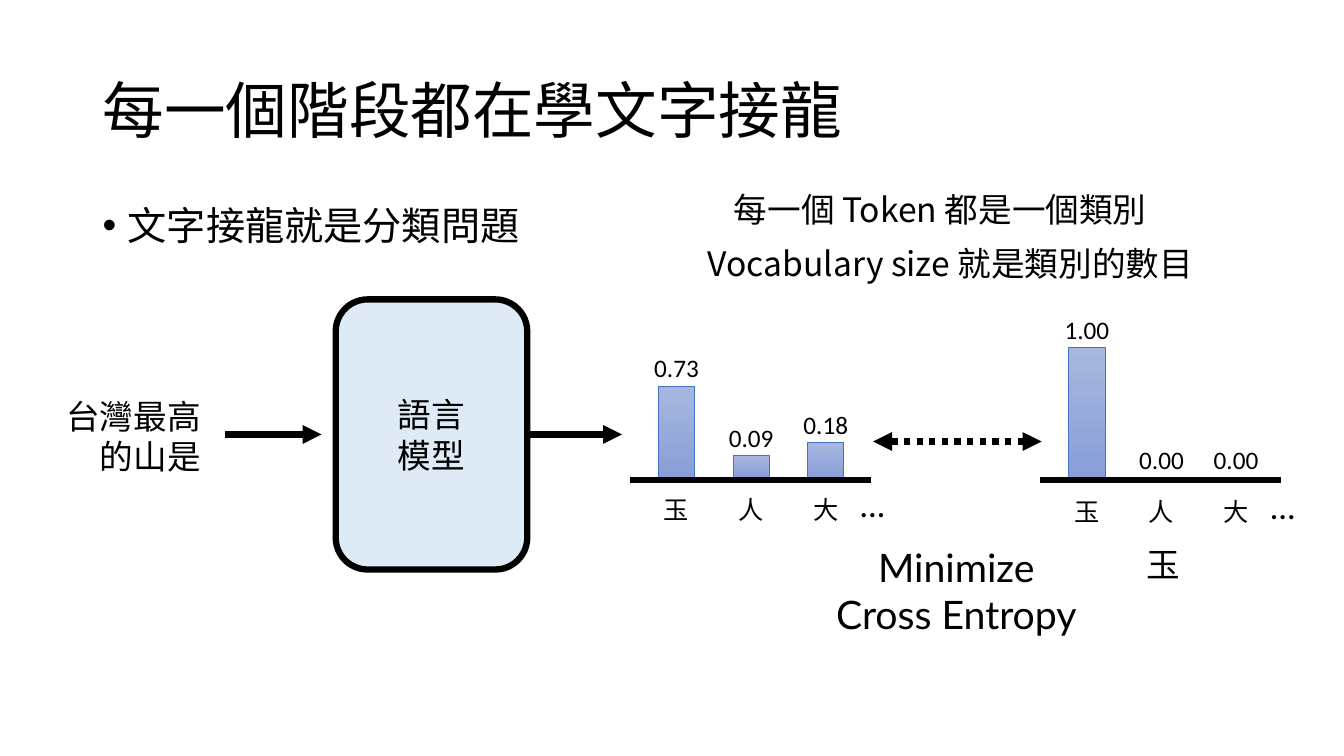
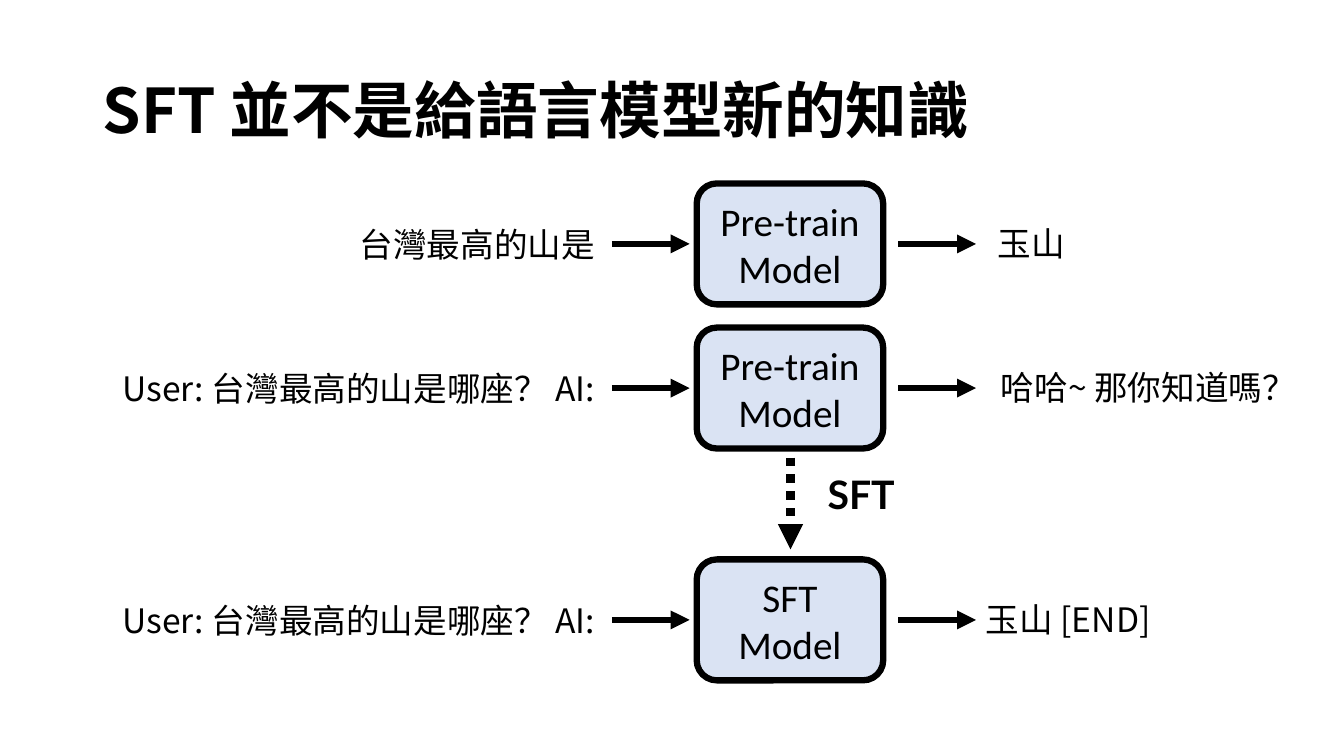
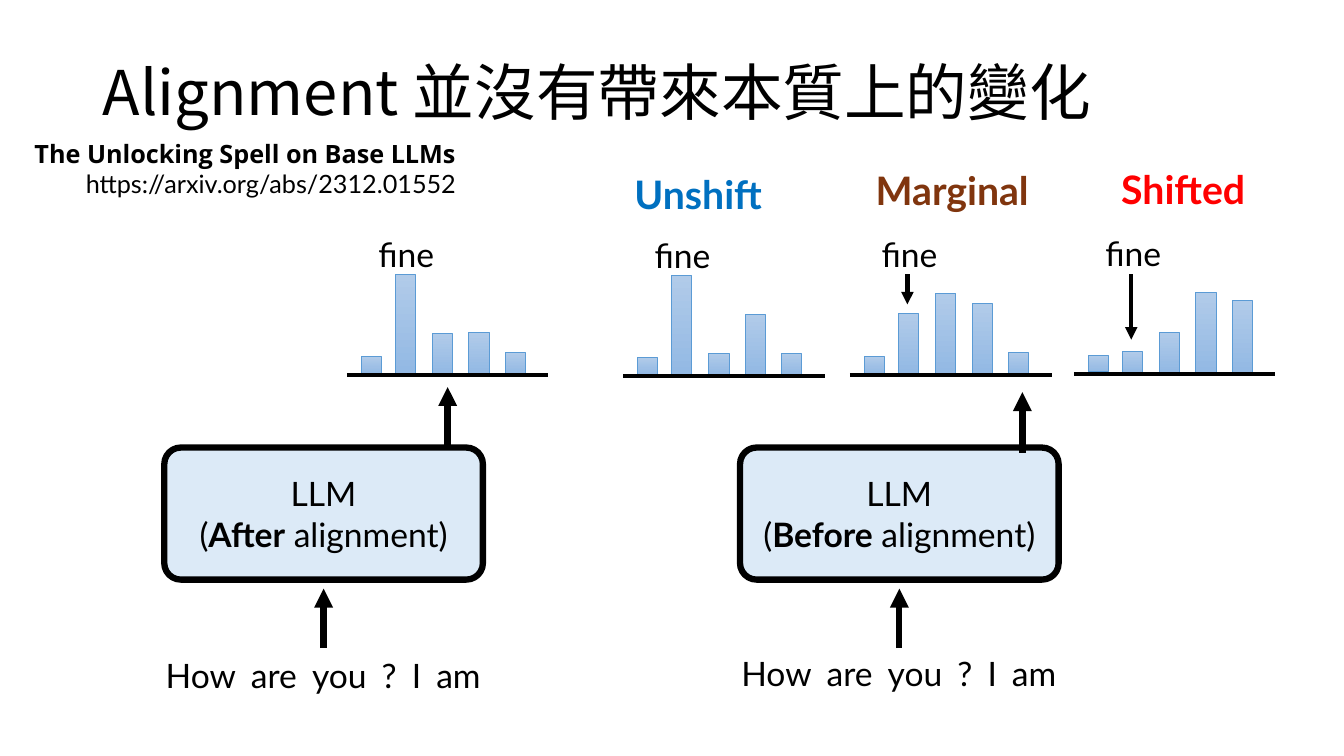
from dataclasses import dataclass

from lxml import etree
from pptx import Presentation
from pptx.dml.color import RGBColor
from pptx.enum.dml import MSO_LINE
from pptx.enum.shapes import MSO_CONNECTOR, MSO_SHAPE
from pptx.enum.text import MSO_ANCHOR, PP_ALIGN
from pptx.oxml.ns import qn
from pptx.util import Inches, Pt

RECT, ROUND_RECT = MSO_SHAPE.RECTANGLE, MSO_SHAPE.ROUNDED_RECTANGLE
STRAIGHT, DOTTED = MSO_CONNECTOR.STRAIGHT, MSO_LINE.ROUND_DOT
LEFT, CENTER, RIGHT = PP_ALIGN.LEFT, PP_ALIGN.CENTER, PP_ALIGN.RIGHT
TOP, MIDDLE = MSO_ANCHOR.TOP, MSO_ANCHOR.MIDDLE

# Colours and fonts
BLACK = RGBColor(0x00, 0x00, 0x00)
PALE_BLUE = RGBColor(0xDE, 0xEB, 0xF7)
LAVENDER = RGBColor(0xDA, 0xE3, 0xF3)
ICE_BLUE = RGBColor(0xDC, 0xEA, 0xF7)
UNSHIFT_BLUE = RGBColor(0x00, 0x70, 0xC0)
MARGINAL_BROWN = RGBColor(0x80, 0x35, 0x0E)
SHIFTED_RED = RGBColor(0xFF, 0x00, 0x00)
CJK, LATO, CALIBRI = "Noto Sans CJK SC", "Lato", "Calibri"
SERIF, OPEN_SANS = "Times New Roman", "Open Sans"


@dataclass(frozen=True)
class Run:
    text: str
    bold: bool = False
    font: str = ""
    spacing: float = 0


@dataclass(frozen=True)
class Style:
    size: float
    font: str = CJK
    align: PP_ALIGN = CENTER
    color: RGBColor = BLACK
    bold: bool = False


@dataclass(frozen=True)
class BarStyle:
    top: RGBColor
    bottom: RGBColor
    line: RGBColor


@dataclass(frozen=True)
class Bar:
    value: str
    height: float


@dataclass(frozen=True)
class ModelRow:
    middle: float
    model: str
    prompt: str
    answer: str
    answer_left: float


@dataclass(frozen=True)
class TokenBars:
    left: float
    axis: float
    heights: tuple[float, ...]
    arrow_end: float = 0


@dataclass(frozen=True)
class Llm:
    left: float
    stage: str
    output_x: float
    output_start: float
    prompt_top: float


TITLE = Style(44, align=LEFT)
BODY = Style(24)
SMALL = Style(18)
NUMBER = Style(18, CALIBRI)
LATIN = Style(24, LATO)
PROB_BAR = BarStyle(RGBColor(0xA8, 0xB7, 0xDF), RGBColor(0x88, 0x9E, 0xD7),
                    RGBColor(0x44, 0x72, 0xC4))
TOKEN_BAR = BarStyle(RGBColor(0xB1, 0xCB, 0xE9), RGBColor(0x93, 0xB9, 0xE4),
                     RGBColor(0x5B, 0x9B, 0xD5))


# Shared drawing functions
def write(tf, lines, style: Style, anchor=TOP):
    """Fill a text frame; each line is a string or a list of runs."""
    tf.word_wrap = True
    tf.vertical_anchor = anchor
    for i, line in enumerate(lines):
        p = tf.paragraphs[0] if i == 0 else tf.add_paragraph()
        p.alignment = style.align
        for run in [Run(line)] if isinstance(line, str) else line:
            r = p.add_run()
            r.text = run.text
            r.font.size = Pt(style.size)
            r.font.bold = style.bold or run.bold
            r.font.color.rgb = style.color
            r.font.name = run.font or style.font
            rPr = r._r.get_or_add_rPr()
            ea = etree.Element(qn("a:ea"), typeface=CJK)
            rPr.find(qn("a:latin")).addnext(ea)
            if run.spacing:
                rPr.set("spc", str(round(run.spacing * 100)))


def text(s, x: float, y: float, w: float, h: float, lines, style: Style, anchor=TOP):
    lines = [lines] if isinstance(lines, str) else lines
    sp = s.shapes.add_textbox(Inches(x), Inches(y), Inches(w), Inches(h))
    write(sp.text_frame, lines, style, anchor)
    return sp


def add_slide(prs, title: str, bold: bool = False):
    """Add a blank slide with its title; return the slide and title paragraph."""
    s = prs.slides.add_slide(prs.slide_layouts[6])
    style = Style(TITLE.size, align=LEFT, bold=bold)
    sp = text(s, 0.92, 0.4, 11.5, 1.45, title, style, MIDDLE)
    p = sp.text_frame.paragraphs[0]
    p.line_spacing = 0.9
    return s, p


def box(s, x: float, y: float, w: float, h: float, fill: RGBColor, lines, style: Style):
    sp = s.shapes.add_shape(ROUND_RECT, Inches(x), Inches(y), Inches(w), Inches(h))
    sp.shadow.inherit = False
    sp.fill.solid()
    sp.fill.fore_color.rgb = fill
    sp.line.color.rgb = BLACK
    sp.line.width = Pt(4.5)
    write(sp.text_frame, lines, style, MIDDLE)
    return sp


def line(shapes, x1: float, y1: float, x2: float, y2: float, width: float = 4.5,
         ends: tuple[str, ...] = (), dotted: bool = False):
    c = shapes.add_connector(STRAIGHT, Inches(x1), Inches(y1), Inches(x2), Inches(y2))
    c.line.color.rgb = BLACK
    c.line.width = Pt(width)
    if dotted:
        c.line.dash_style = DOTTED
    for end in ends:
        etree.SubElement(c.line._get_or_add_ln(), qn(end), type="triangle")
    etree.SubElement(c._element.spPr, qn("a:effectLst"))
    return c


def arrow(s, x1: float, y1: float, x2: float, y2: float, width: float = 4.5,
          dotted: bool = False):
    return line(s.shapes, x1, y1, x2, y2, width, ("a:tailEnd",), dotted)


def bar(shapes, x: float, base: float, w: float, h: float, style: BarStyle):
    """Draw a gradient bar standing on base."""
    sp = shapes.add_shape(RECT, Inches(x), Inches(base - h), Inches(w), Inches(h))
    sp.shadow.inherit = False
    sp.fill.gradient()
    sp.fill.gradient_angle = 270
    for stop, color in zip(sp.fill.gradient_stops, (style.top, style.bottom)):
        stop.color.rgb = color
    sp.line.color.rgb = style.line
    sp.line.width = Pt(0.5)


# Slide 1: next-token prediction as classification
def probability_bars(s, left: float, bars: list[Bar], label_top: float):
    axis, base, pitch, bar_w = 4.76, 4.74, 0.74, 0.36
    for i, (item, token) in enumerate(zip(bars, "玉人大")):
        mid = left + 0.46 + i * pitch
        if item.height:
            bar(s.shapes, mid - bar_w / 2, base, bar_w, item.height, PROB_BAR)
        text(s, mid - 0.4, base - item.height - 0.38, 0.8, 0.4, item.value, NUMBER)
        text(s, mid - 0.46, label_top, 0.92, 0.4, token, SMALL)
    line(s.shapes, left, axis, left + 2.39, axis)
    text(s, left + 2.18, label_top - 0.1, 0.76, 0.5, "…", Style(24, LATO, LEFT))


def classification_slide(prs):
    s, _ = add_slide(prs, "每一個階段都在學文字接龍")

    # Bullet
    sp = text(s, 0.92, 2, 5.4, 0.7, "文字接龍就是分類問題", Style(28, align=LEFT))
    p = sp.text_frame.paragraphs[0]
    p.line_spacing = 0.9
    pPr = p._p.get_or_add_pPr()
    pPr.set("marL", str(Inches(0.25)))
    pPr.set("indent", str(-Inches(0.25)))
    etree.SubElement(pPr, qn("a:buFont"), typeface="Arial")
    etree.SubElement(pPr, qn("a:buChar"), char="•")

    # Model with its input and output
    model = box(s, 3.33, 2.97, 1.9, 2.68, PALE_BLUE, ["語言", "模型"], Style(24, SERIF))
    text(s, 0.36, 3.88, 1.73, 0.91, "台灣最高的山是", Style(24, align=RIGHT))
    arrow(s, 2.23, 4.31, 3.19, 4.31)
    arrow(s, 5.23, 4.31, 6.17, 4.31).begin_connect(model, 3)

    # Predicted and target distributions
    probability_bars(s, 6.25, [Bar("0.73", 0.91), Bar("0.09", 0.22), Bar("0.18", 0.35)], 4.85)
    probability_bars(s, 10.32, [Bar("1.00", 1.29), Bar("0.00", 0), Bar("0.00", 0)], 4.87)
    line(s.shapes, 10.33, 4.38, 8.66, 4.38, ends=("a:headEnd", "a:tailEnd"), dotted=True)
    text(s, 8.1, 5.34, 2.77, 1.04, "Minimize Cross Entropy", Style(28, LATO))
    text(s, 11.05, 5.35, 0.97, 0.5, "玉", BODY)

    # Remarks
    text(s, 6.45, 1.83, 5.75, 0.5, "每一個 Token 都是一個類別", BODY)
    text(s, 6.55, 2.36, 5.75, 0.5, "Vocabulary size 就是類別的數目", BODY)


# Slide 2: what SFT changes
def sft_slide(prs):
    s, _ = add_slide(prs, "SFT 並不是給語言模型新的知識", bold=True)
    question = "User: 台灣最高的山是哪座？ AI:"
    rows = [
        ModelRow(2.42, "Pre-train", "台灣最高的山是", "玉山", 9.8),
        ModelRow(3.85, "Pre-train", question, "哈哈~ 那你知道嗎？", 9.83),
        ModelRow(6.15, "SFT", question, "玉山 [END]", 9.68),
    ]
    for row in rows:
        y = row.middle
        box(s, 6.91, y - 0.6, 1.85, 1.2, LAVENDER, [row.model, "Model"], Style(28, CALIBRI))
        for x in (6.07, 8.91):
            arrow(s, x, y, x + 0.77, y)
        text(s, 1.1, y - 0.25, 4.9, 0.5, row.prompt, Style(24, align=RIGHT))
        text(s, row.answer_left, y - 0.26, 3.5, 0.5, row.answer, Style(24, align=LEFT))

    # Fine-tuning step
    arrow(s, 7.84, 4.54, 7.84, 5.45, 6, dotted=True)
    text(s, 8.11, 4.62, 1.6, 0.57, "SFT", Style(28, LATO, LEFT, bold=True))


# Slide 3: token distributions before and after alignment
def token_bars(s, chart: TokenBars):
    shapes = s.shapes.add_group_shape().shapes
    for dx, height in zip((0.14, 0.48, 0.85, 1.21, 1.57), chart.heights):
        bar(shapes, chart.left + dx, chart.axis - 0.02, 0.2, height, TOKEN_BAR)
    line(shapes, chart.left, chart.axis, chart.left + 2, chart.axis, 3)
    text(s, chart.left, chart.axis - 1.45, 1.18, 0.5, "fine", LATIN)
    if chart.arrow_end:
        x = chart.left + 0.57
        arrow(s, x, 2.72, x, chart.arrow_end, 3)


def alignment_slide(prs):
    s, p = add_slide(prs, "Alignment 並沒有帶來本質上的變化")
    p.line_spacing = Pt(21)
    p.space_after = Pt(9)

    # Reference
    text(s, 0.14, 1.32, 4.48, 0.71,
         [[Run("The Unlocking Spell on Base LLMs", True, OPEN_SANS)],
          "https://arxiv.org/abs/2312.01552"], Style(18, LATO, RIGHT))

    # Distributions
    for chart in (
        TokenBars(3.44, 3.72, (0.16, 0.98, 0.39, 0.4, 0.2)),
        TokenBars(6.18, 3.73, (0.16, 0.98, 0.2, 0.59, 0.2)),
        TokenBars(8.43, 3.72, (0.16, 0.59, 0.79, 0.69, 0.2), 3.02),
        TokenBars(10.65, 3.71, (0.16, 0.2, 0.39, 0.79, 0.71), 3.37),
    ):
        token_bars(s, chart)

    # Kinds of shift
    for x, y, label, color in (
        (5.91, 1.64, "Unshift", UNSHIFT_BLUE),
        (8.43, 1.6, "Marginal", MARGINAL_BROWN),
        (10.72, 1.59, "Shifted", SHIFTED_RED),
    ):
        text(s, x, y, 2.03, 0.57, label, Style(28, LATO, color=color, bold=True))

    # Models with their prompts; the gaps between tokens are widened
    prompt = [Run("How")]
    for word in ("are", "you", "?", "I", "am"):
        prompt += [Run(" ", spacing=4.6), Run(word)]
    for llm in (
        Llm(1.63, "After", 4.44, 4.44, 6.45),
        Llm(7.34, "Before", 10.14, 4.49, 6.43),
    ):
        sp = box(s, llm.left, 4.44, 3.16, 1.31, ICE_BLUE,
                 ["LLM", [Run("("), Run(llm.stage, True), Run(" alignment)")]], LATIN)
        sp.adjustments[0] = 0.125
        mid = llm.left + 1.58
        arrow(s, llm.output_x, llm.output_start, llm.output_x, llm.output_start - 0.6)
        arrow(s, mid, 6.43, mid, 5.84)
        text(s, mid - 1.82, llm.prompt_top, 3.63, 0.5, [prompt], LATIN)


def main():
    prs = Presentation()
    prs.slide_width, prs.slide_height = Inches(13.33), Inches(7.5)
    classification_slide(prs)
    sft_slide(prs)
    alignment_slide(prs)
    prs.save("out.pptx")


if __name__ == "__main__":
    main()
